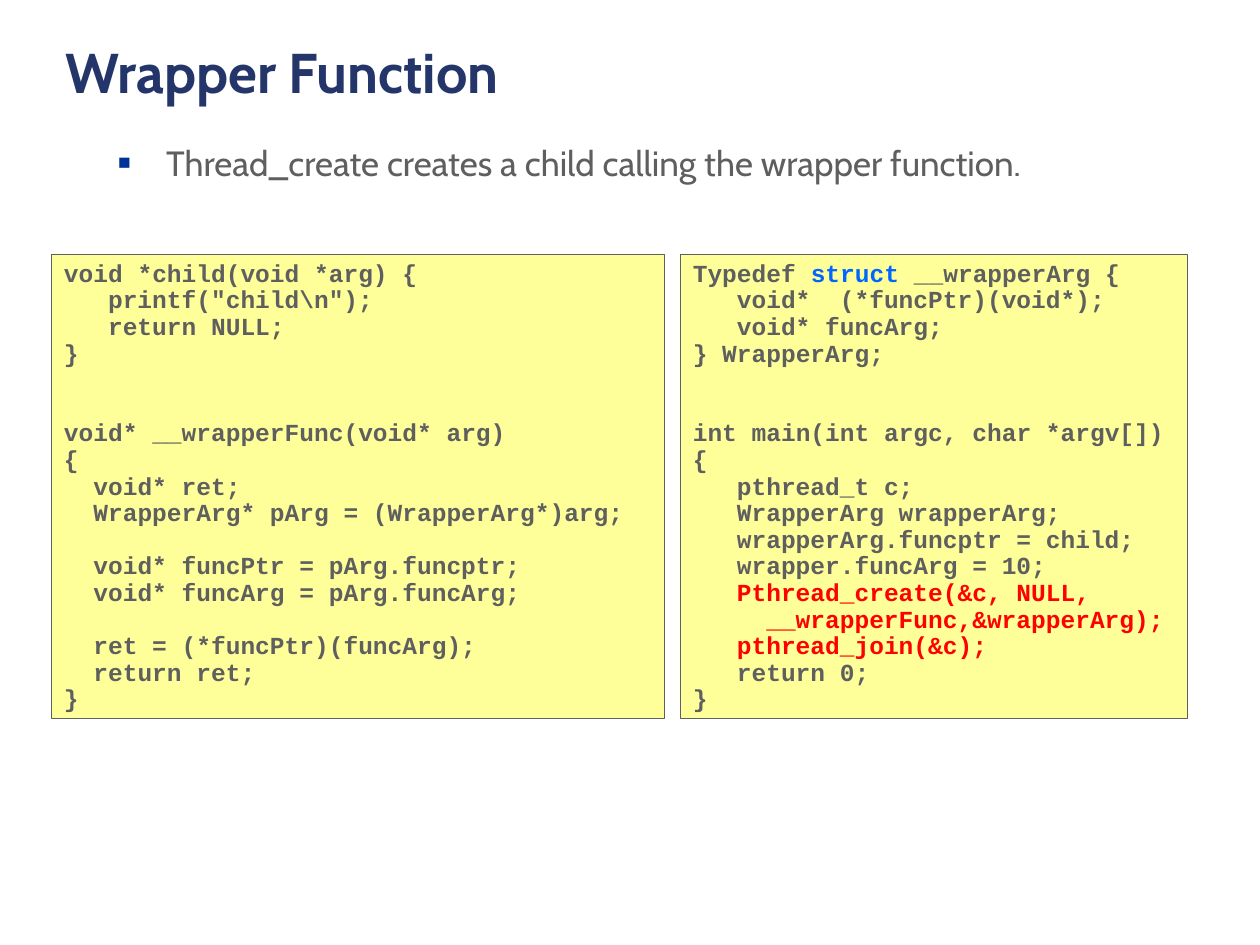
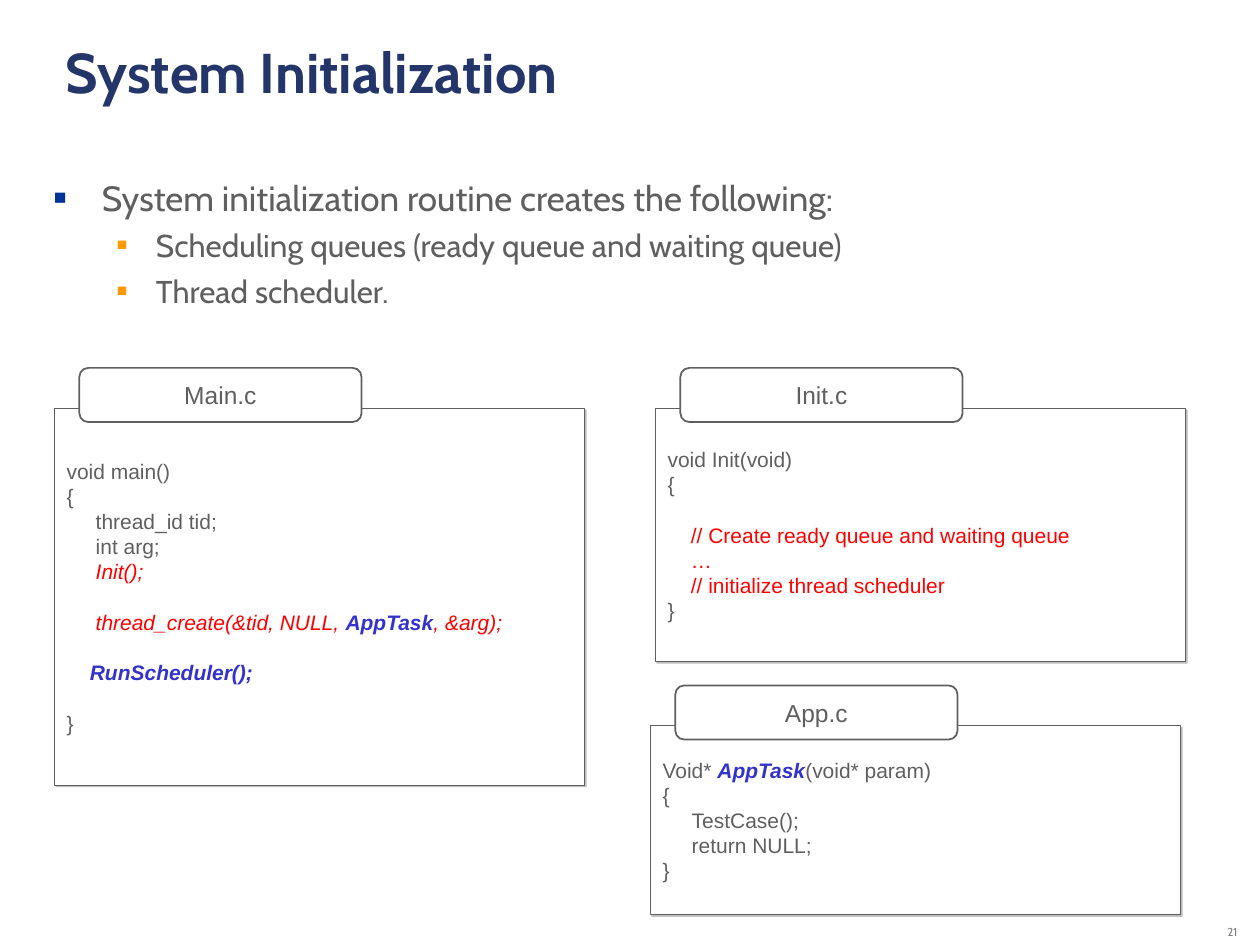
from dataclasses import dataclass

from lxml import etree
from pptx import Presentation
from pptx import util as u
from pptx.dml.color import RGBColor
from pptx.enum import shapes, text
from pptx.oxml import ns

# Shared colours and fonts
WHITE = RGBColor(0xFF, 0xFF, 0xFF)
NAVY = RGBColor(0x24, 0x35, 0x6A)
INK = RGBColor(0x5F, 0x5F, 0x5F)
GRAY = RGBColor(0x80, 0x80, 0x80)
PALE_YELLOW = RGBColor(0xFF, 0xFF, 0x99)
RED = RGBColor(0xFF, 0x00, 0x00)
BRIGHT_BLUE = RGBColor(0x00, 0x66, 0xFF)
INDIGO = RGBColor(0x33, 0x33, 0xCC)
BULLET_BLUE = RGBColor(0x00, 0x33, 0x99)
BULLET_ORANGE = RGBColor(0xFF, 0x99, 0x00)
HEADING_FONT, MONO_FONT, SANS_FONT = "Cabin", "Courier New", "Arial"


@dataclass(frozen=True)
class Box:
    left: float
    top: float
    width: float
    height: float

    def lengths(self) -> list[u.Length]:
        return [u.Inches(v) for v in (self.left, self.top, self.width, self.height)]


@dataclass(frozen=True)
class Span:
    text: str
    color: RGBColor = INK
    bold: bool | None = None
    italic: bool | None = None


@dataclass(frozen=True)
class Line:
    """One line of code: indent in columns, gap in empty lines above."""
    spans: tuple[Span, ...]
    indent: int = 0
    gap: int = 0


@dataclass(frozen=True)
class CodeStyle:
    font: str
    size: float
    pitch: float  # points from line to line
    column: float  # indent column in inches
    bold: bool = False


@dataclass(frozen=True)
class BulletLevel:
    size: float
    margin: float
    hang: float
    before: float
    color: RGBColor
    percent: int


@dataclass(frozen=True)
class SourceFile:
    name: str
    box: Box
    lines: list[Line]


LISTING = CodeStyle(MONO_FONT, 14, 15.2, 0.1167, bold=True)
SNIPPET = CodeStyle(SANS_FONT, 12, 14.4, 0.0463)
LEVELS = (
    BulletLevel(20, 0.38, 0.38, 5, BULLET_BLUE, 60),
    BulletLevel(18, 0.81, 0.31, 4.5, BULLET_ORANGE, 55),
)


def line(content: str, indent: int = 0, gap: int = 0, color: RGBColor = INK,
         bold: bool | None = None, italic: bool | None = None) -> Line:
    return Line((Span(content, color, bold, italic),), indent, gap)


def set_font(font, name: str, size: float, color: RGBColor, bold: bool = False) -> None:
    font.name, font.size, font.bold = name, u.Pt(size), bold
    font.color.rgb = color


def add_text(page, box: Box):
    frame = page.shapes.add_textbox(*box.lengths()).text_frame
    frame.word_wrap = True
    return frame


def add_title(page, title: str) -> None:
    para = add_text(page, Box(0.42, 0.25, 9.03, 1.22)).paragraphs[0]
    para.text = title
    set_font(para.font, HEADING_FONT, 32, NAVY, bold=True)


def add_page_number(page, number: int) -> None:
    frame = add_text(page, Box(8.92, 7.25, 1, 0.25))
    frame.vertical_anchor = text.MSO_ANCHOR.BOTTOM
    para = frame.paragraphs[0]
    para.text = str(number)
    para.alignment = text.PP_ALIGN.RIGHT
    para.line_spacing = 0.8
    set_font(para.font, HEADING_FONT, 6.6, GRAY)


def add_bullets(page, box: Box, items: list[tuple[int, str]]) -> None:
    frame = add_text(page, box)
    for index, (depth, content) in enumerate(items):
        level = LEVELS[depth]
        para = frame.add_paragraph() if index else frame.paragraphs[0]
        para.text = content
        para.level = depth
        para.space_before = u.Pt(level.before)
        props = para._p.get_or_add_pPr()
        props.set("marL", str(u.Inches(level.margin)))
        props.set("indent", str(-u.Inches(level.hang)))
        color = etree.SubElement(props, ns.qn("a:buClr"))
        etree.SubElement(color, ns.qn("a:srgbClr"), val=str(level.color))
        etree.SubElement(props, ns.qn("a:buSzPct"), val=str(level.percent * 1000))
        etree.SubElement(props, ns.qn("a:buFont"), typeface=SANS_FONT)
        etree.SubElement(props, ns.qn("a:buChar"), char="■")
        set_font(para.font, HEADING_FONT, level.size, INK)


def add_panel(page, box: Box, fill: RGBColor, line_width: float,
              kind=shapes.MSO_SHAPE.RECTANGLE):
    panel = page.shapes.add_shape(kind, *box.lengths())
    panel.shadow.inherit = False
    panel.fill.solid()
    panel.fill.fore_color.rgb = fill
    panel.line.color.rgb = INK
    panel.line.width = u.Pt(line_width)
    panel.text_frame.word_wrap = True
    return panel


def add_drop_shadow(panel) -> None:
    effects = panel._element.spPr.find(ns.qn("a:effectLst"))
    shadow = etree.SubElement(effects, ns.qn("a:outerShdw"), blurRad="0",
                              dist=str(u.Pt(1.4)), dir=str(45 * 60000), algn="ctr")
    color = etree.SubElement(shadow, ns.qn("a:srgbClr"), val=str(GRAY))
    etree.SubElement(color, ns.qn("a:alpha"), val="50000")


def write_code(frame, lines: list[Line], style: CodeStyle) -> None:
    for index, code in enumerate(lines):
        para = frame.add_paragraph() if index else frame.paragraphs[0]
        para.alignment = text.PP_ALIGN.LEFT
        para.line_spacing = u.Pt(style.pitch)
        para.space_before = u.Pt(style.pitch * code.gap)
        props = para._p.get_or_add_pPr()
        props.set("marL", str(u.Inches(style.column * code.indent)))
        props.set("indent", "0")
        set_font(para.font, style.font, style.size, INK, style.bold)
        for part in code.spans:
            span = para.add_run()
            span.text = part.text
            span.font.color.rgb = part.color
            span.font.bold, span.font.italic = part.bold, part.italic


def add_listing(page, box: Box, lines: list[Line]) -> None:
    panel = add_panel(page, box, PALE_YELLOW, 0.25)
    panel.text_frame.vertical_anchor = text.MSO_ANCHOR.TOP
    write_code(panel.text_frame, lines, LISTING)


def add_source_file(page, source: SourceFile) -> None:
    """A shadowed code panel with its file name on a rounded tab."""
    panel = add_panel(page, source.box, WHITE, 0.5)
    add_drop_shadow(panel)
    panel.text_frame.vertical_anchor = text.MSO_ANCHOR.MIDDLE
    write_code(panel.text_frame, source.lines, SNIPPET)

    tab_box = Box(source.box.left + 0.2, source.box.top - 0.32, 2.24, 0.43)
    tab = add_panel(page, tab_box, WHITE, 1, shapes.MSO_SHAPE.ROUNDED_RECTANGLE)
    tab.text_frame.vertical_anchor = text.MSO_ANCHOR.MIDDLE
    para = tab.text_frame.paragraphs[0]
    para.text = source.name
    para.alignment = text.PP_ALIGN.CENTER
    set_font(para.font, SANS_FONT, 14, INK)


# Code on the wrapper slide
WRAPPER_CODE = [
    line("void *child(void *arg) {"),
    line('printf("child\\n");', 3),
    line("return NULL;", 3),
    line("}"),
    line("void* __wrapperFunc(void* arg)", gap=2),
    line("{"),
    line("void* ret;", 2),
    line("WrapperArg* pArg = (WrapperArg*)arg;", 2),
    line("void* funcPtr = pArg.funcptr;", 2, gap=1),
    line("void* funcArg = pArg.funcArg;", 2),
    line("ret = (*funcPtr)(funcArg);", 2, gap=1),
    line("return ret;", 2),
    line("}"),
]
CALLER_CODE = [
    Line((Span("Typedef "), Span("struct", BRIGHT_BLUE), Span(" __wrapperArg {"))),
    line("void*  (*funcPtr)(void*);", 3),
    line("void* funcArg;", 3),
    line("} WrapperArg;"),
    line("int main(int argc, char *argv[])", gap=2),
    line("{"),
    line("pthread_t c;", 3),
    line("WrapperArg wrapperArg;", 3),
    line("wrapperArg.funcptr = child;", 3),
    line("wrapper.funcArg = 10;", 3),
    line("Pthread_create(&c, NULL,", 3, color=RED),
    line("__wrapperFunc,&wrapperArg);", 5, color=RED),
    line("pthread_join(&c);", 3, color=RED),
    line("return 0;", 3),
    line("}"),
]

# Files on the initialization slide
APP_TASK = Span("AppTask", INDIGO, bold=True, italic=True)
SOURCE_FILES = [
    SourceFile("Main.c", Box(0.43, 3.24, 4.21, 2.99), [
        line("void main()"),
        line("{"),
        line("thread_id tid;", 5),
        line("int arg;", 5),
        line("Init();", 5, color=RED, italic=True),
        Line((Span("thread_create(&tid, NULL, ", RED, italic=True), APP_TASK,
              Span(", &arg);", RED, italic=True)), indent=5, gap=1),
        line("RunScheduler();", 4, gap=1, color=INDIGO, bold=True, italic=True),
        line("}", gap=1),
    ]),
    SourceFile("Init.c", Box(5.2, 3.24, 4.21, 2.01), [
        line("void Init(void)"),
        line("{"),
        line("// Create ready queue and waiting queue", 4, gap=1, color=RED),
        line("…", 4, color=RED),
        line("// initialize thread scheduler", 4, color=RED),
        line("}"),
    ]),
    SourceFile("App.c", Box(5.16, 5.76, 4.21, 1.5), [
        Line((Span("Void* "), APP_TASK, Span("(void* param)"))),
        line("{"),
        line("TestCase();", 5),
        line("return NULL;", 5),
        line("}"),
    ]),
]


def build_wrapper_slide(page) -> None:
    add_title(page, "Wrapper Function")
    add_listing(page, Box(0.41, 2.02, 4.86, 3.68), WRAPPER_CODE)
    add_listing(page, Box(5.4, 2.02, 4.02, 3.68), CALLER_CODE)
    add_bullets(page, Box(0.84, 1.07, 9.04, 0.63), [
        (0, "Thread_create creates a child calling the wrapper function."),
    ])


def build_initialization_slide(page) -> None:
    add_page_number(page, 21)
    add_title(page, "System Initialization")
    add_bullets(page, Box(0.33, 1.35, 9.04, 5.67), [
        (0, "System initialization routine creates the following:"),
        (1, "Scheduling queues (ready queue and waiting queue)"),
        (1, "Thread scheduler."),
    ])
    for source in SOURCE_FILES:
        add_source_file(page, source)


def main() -> None:
    deck = Presentation()
    deck.slide_width, deck.slide_height = u.Inches(10), u.Inches(7.5)
    for build in (build_wrapper_slide, build_initialization_slide):
        build(deck.slides.add_slide(deck.slide_layouts[6]))
    deck.save("out.pptx")


if __name__ == "__main__":
    main()
